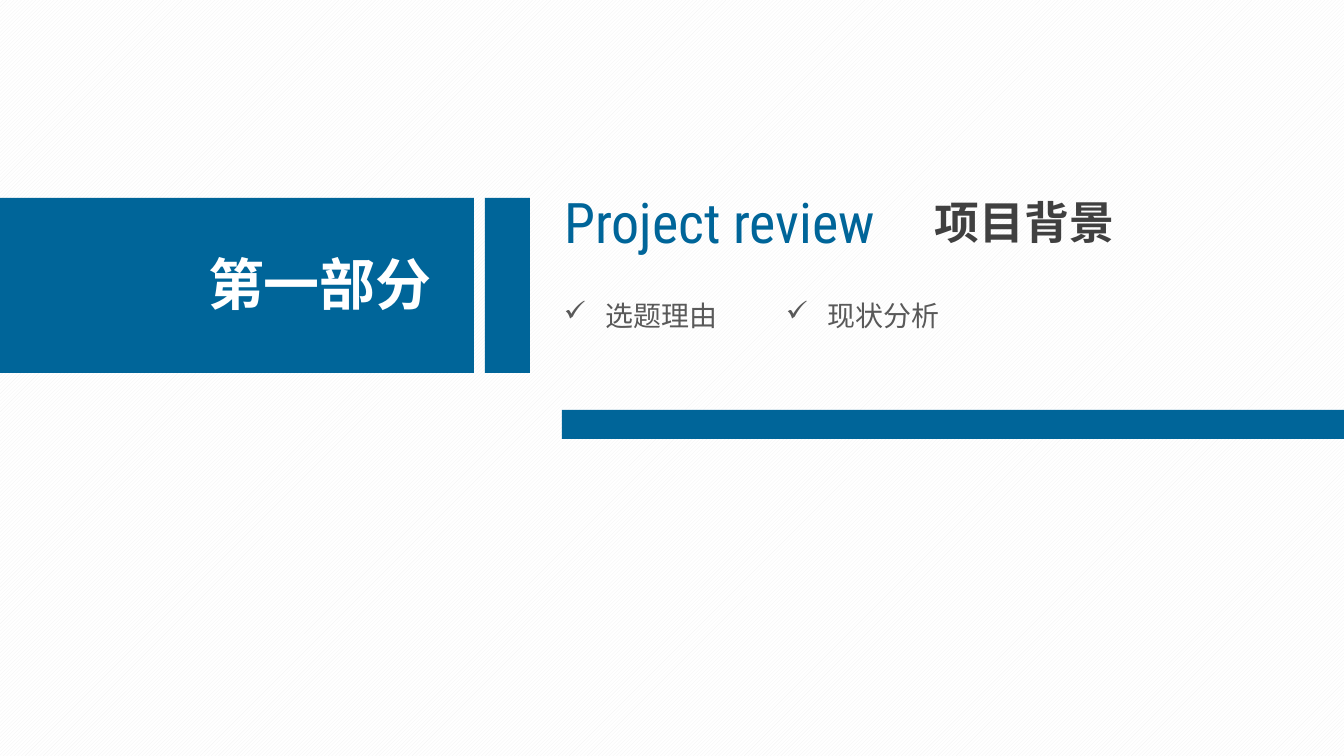
from dataclasses import dataclass

from lxml import etree
from pptx import Presentation
from pptx import util as u
from pptx.dml.color import RGBColor
from pptx.enum import dml, shapes, text
from pptx.oxml.ns import qn

EMU_PER_PX = 914400 / 134.4


@dataclass(frozen=True)
class Theme:
    blue: str = "006599"
    white: str = "FFFFFF"
    hatch: str = "F2F2F2"
    dark: str = "404040"
    gray: str = "595959"
    chinese: str = "Noto Sans CJK SC"
    latin: str = "Roboto Condensed"
    title_size: int = 30
    subtitle_size: int = 24
    topic_size: int = 15


THEME = Theme()


def px(length):
    return u.Emu(round(length * EMU_PER_PX))


def rgb(value):
    return RGBColor.from_string(value)


def set_background(slide):
    fill = slide.background.fill
    fill.patterned()
    fill.pattern = dml.MSO_PATTERN.LIGHT_UPWARD_DIAGONAL
    fill.fore_color.rgb = rgb(THEME.hatch)
    fill.back_color.rgb = rgb(THEME.white)


def add_block(slide, *box):
    shape = slide.shapes.add_shape(shapes.MSO_SHAPE.RECTANGLE, *map(px, box))
    shape.shadow.inherit = False
    shape.fill.solid()
    shape.fill.fore_color.rgb = rgb(THEME.blue)
    shape.line.fill.background()


def add_bullet(paragraph, character, indent):
    properties = paragraph._p.get_or_add_pPr()
    properties.set("marL", str(px(indent)))
    properties.set("indent", str(-px(indent)))
    etree.SubElement(properties, qn("a:buChar")).set("char", character)


def add_label(slide, box, wording, size, color, face=THEME.chinese, bold=False):
    """Add a one-line text box and return its paragraph."""
    frame = slide.shapes.add_textbox(*map(px, box)).text_frame
    frame_format = {
        "margin_left": px(9), "margin_right": px(9),
        "margin_top": px(5), "margin_bottom": px(5),
        "word_wrap": False, "auto_size": text.MSO_AUTO_SIZE.SHAPE_TO_FIT_TEXT,
    }
    for name, value in frame_format.items():
        setattr(frame, name, value)

    paragraph = frame.paragraphs[0]
    run = paragraph.add_run()
    run.text = wording
    run.font.color.rgb = rgb(color)
    font_format = {"size": u.Pt(size), "bold": bold, "name": face}
    for name, value in font_format.items():
        setattr(run.font, name, value)
    east_asian = etree.SubElement(run._r.get_or_add_rPr(), qn("a:ea"))
    east_asian.set("typeface", face)
    return paragraph


def add_topics(slide, topics, left=555, step=222):
    for index, topic in enumerate(topics):
        box = (left + index * step, 294, 176, 44)
        paragraph = add_label(slide, box, topic, THEME.topic_size, THEME.gray)
        add_bullet(paragraph, "✓", 42)


def main():
    presentation = Presentation()
    presentation.slide_width = px(1344)
    presentation.slide_height = px(756)
    slide = presentation.slides.add_slide(presentation.slide_layouts[6])
    set_background(slide)

    add_block(slide, 0, 198, 474, 175)
    add_label(slide, (199, 245, 246, 78), "第一部分",
              THEME.title_size, THEME.white, bold=True)
    add_topics(slide, ["选题理由", "现状分析"])
    add_label(slide, (555, 183, 355, 78), "Project review",
              THEME.title_size, THEME.blue, THEME.latin)
    add_label(slide, (926, 190, 202, 65), "项目背景",
              THEME.subtitle_size, THEME.dark, bold=True)
    add_block(slide, 562, 410, 782, 29)
    add_block(slide, 485, 198, 45, 175)

    presentation.save("out.pptx")


if __name__ == "__main__":
    main()
